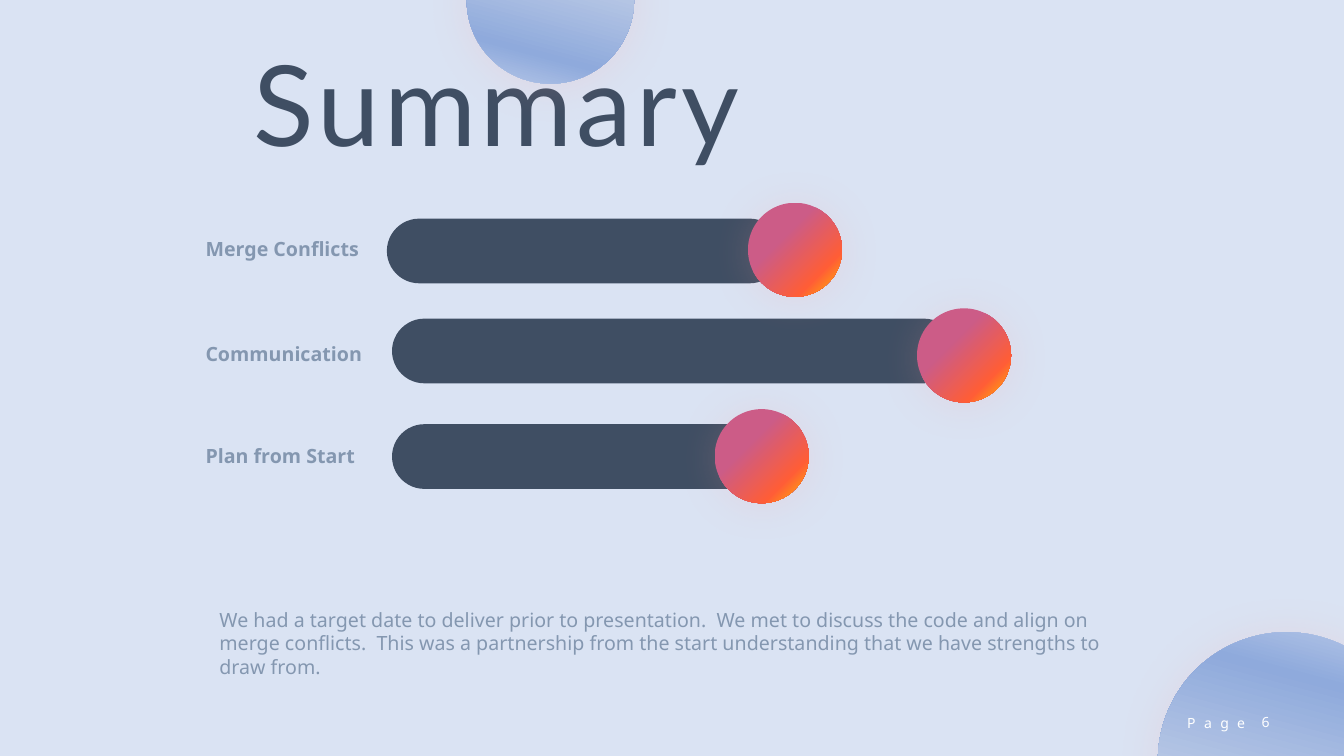
from lxml.etree import SubElement as Sub
from pptx import Presentation
from pptx.dml.color import RGBColor as RGB
from pptx.enum.shapes import MSO_SHAPE as Kind
from pptx.enum.text import MSO_ANCHOR as Anchor, MSO_AUTO_SIZE as Fit, PP_ALIGN as Align
from pptx.oxml.ns import qn
from pptx.util import Cm, Pt

DARK, GREY, PALE, WHITE = "3F4E63", "8497B0", "DAE3F3", "FFFFFF"
WARM = [(37, "CC5C87"), (76, "FF5D37"), (100, "FFC000")]
COOL = [(0, PALE), (30, "8FAADC"), (100, "F2F2F2")]
GLOW = "FB9F9F"


def hue(code):
    return RGB.from_string(code)


class Page:
    font = "Noto Sans"

    def __init__(self, deck):
        self.slide = deck.slides.add_slide(deck.slide_layouts[5])
        self.shapes = self.slide.shapes

    def style(self, box, text, size, color, bold=False, align=Align.LEFT, space=0, font=None):
        frame = box.text_frame
        frame.word_wrap = True
        frame.auto_size = Fit.SHAPE_TO_FIT_TEXT
        frame.vertical_anchor = Anchor.TOP
        para = frame.paragraphs[0]
        para.text = text
        para.alignment = align
        face = para.font
        face.name, face.size, face.bold = font or self.font, Pt(size), bold
        face.color.rgb = hue(color)
        if space:
            for run in box.element.iter(qn("a:r")):
                run.get_or_add_rPr().set("spc", str(space * 100))
        return para

    def title(self, text, x, y, w, h):
        box = self.shapes.title
        box.left, box.top, box.width, box.height = Cm(x), Cm(y), Cm(w), Cm(h)
        frame = box.text_frame
        frame.margin_left = frame.margin_right = frame.margin_top = frame.margin_bottom = 0
        para = self.style(box, text, 80, DARK, space=3, font="Lato")
        para.line_spacing = 0.8

    def text(self, text, x, y, w, h, size, color, **look):
        box = self.shapes.add_textbox(Cm(x), Cm(y), Cm(w), Cm(h))
        self.style(box, text, size, color, **look)

    def shape(self, kind, x, y, w, h, fill=None):
        item = self.shapes.add_shape(kind, Cm(x), Cm(y), Cm(w), Cm(h))
        item.line.fill.background()
        item.shadow.inherit = False
        if fill:
            item.fill.solid()
            item.fill.fore_color.rgb = hue(fill)
        return item

    def bar(self, x, y, w, h):
        self.shape(Kind.ROUNDED_RECTANGLE, x, y, w, h, DARK).adjustments[0] = 0.5

    def ball(self, x, y, size, stops, flip=None):
        item = self.shape(Kind.OVAL, x, y, size, size)
        props = item.element.spPr
        if flip:
            item.rotation = 330
            props.find(qn("a:xfrm")).set(flip, "1")
        # Gradient with three stops
        grad = Sub(props, qn("a:gradFill"), rotWithShape="1")
        steps = Sub(grad, qn("a:gsLst"))
        for pos, code in stops:
            stop = Sub(steps, qn("a:gs"), pos=str(pos * 1000))
            Sub(stop, qn("a:srgbClr"), val=code)
        Sub(grad, qn("a:lin"), ang=str(45 * 60000), scaled="0")
        props.find(qn("a:ln")).addprevious(grad)
        # Soft glow
        glow = Sub(props.find(qn("a:effectLst")), qn("a:outerShdw"), blurRad=str(Pt(30)),
                   dist=str(Pt(2)), dir=str(78 * 60000), algn="ctr", rotWithShape="0")
        tint = Sub(glow, qn("a:srgbClr"), val=GLOW)
        Sub(tint, qn("a:alpha"), val="19000")


def main():
    deck = Presentation()
    deck.slide_width, deck.slide_height = Cm(33.87), Cm(19.05)
    page = Page(deck)

    # Backdrop, behind the title
    back = page.shape(Kind.RECTANGLE, 0, 0, 33.87, 19.05, PALE)
    page.shapes.title.element.addprevious(back.element)
    page.title("Summary", 6.4, 1.52, 17.4, 2.74)

    # Bars, knobs and labels: label and its top, bar left, top, width, knob left, top
    rows = [
        ("Merge Conflicts", 5.84, 9.75, 5.51, 9.96, 18.85, 5.11),
        ("Communication", 8.48, 9.88, 8.03, 14.22, 23.11, 7.77),
        ("Plan from Start", 11.07, 9.88, 10.69, 9.88, 18.01, 10.31),
    ]
    for _, _, x, y, w, _, _ in rows:
        page.bar(x, y, w, 1.63)
    for *_, x, y in rows:
        page.ball(x, y, 2.37, WARM)
    for name, y, *_ in rows:
        page.text(name, 4.93, y, 4.95, 0.86, 14, GREY, bold=True)

    # Closing note
    page.text("We had a target date to deliver prior to presentation.  We met to discuss "
              "the code and align on merge conflicts.  This was a partnership from the start "
              "understanding that we have strengths to draw from.",
              5.28, 15.19, 23.65, 2.06, 14, GREY)

    # Corner balls and page number
    page.ball(29.18, 15.93, 6.48, COOL, "flipH")
    page.ball(11.76, -2.11, 4.22, COOL, "flipV")
    page.text("Page", 29.34, 17.88, 2.62, 0.71, 10, WHITE, align=Align.CENTER, space=6)
    page.text("6", 31.17, 17.86, 1.45, 0.69, 10, WHITE, align=Align.CENTER)

    deck.save("out.pptx")


if __name__ == "__main__":
    main()
